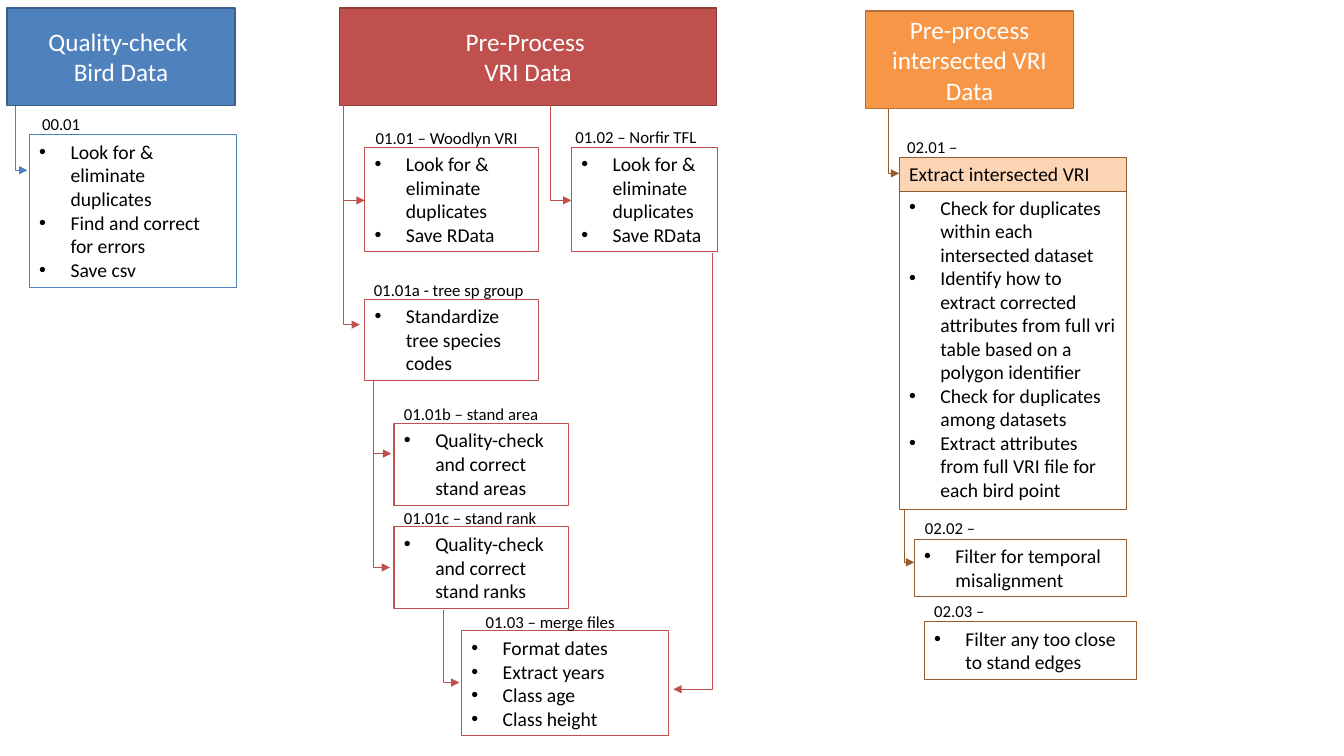
from dataclasses import dataclass

import pptx
import pptx.dml.color
import pptx.enum.shapes
import pptx.enum.text
import pptx.oxml
import pptx.oxml.ns
import pptx.util
from lxml import etree

Cm = pptx.util.Cm
Pt = pptx.util.Pt
qn = pptx.oxml.ns.qn

COLORS = {
    "blue": "4F81BD", "blue_edge": "3A5F8C",
    "red": "C0504D", "red_edge": "8E3B39",
    "orange": "F79646", "orange_edge": "B76F34",
    "brown": "935C2F", "peach": "FCD5B5",
    "white": "FFFFFF", "black": "000000",
}
FONT = "Calibri"
INDENT = Cm(0.79)
LABEL_HEIGHT = 0.76


@dataclass
class Header:
    text: str
    x: float
    y: float
    w: float
    color: str
    h: float = 2.46


@dataclass
class Step:
    color: str
    x: float
    y: float
    w: float
    h: float
    items: list[str]
    label: str
    label_x: float
    label_y: float
    label_w: float


@dataclass
class Arrow:
    color: str
    x1: float
    y1: float
    x2: float
    y2: float


HEADERS = [
    Header("Quality-check \vBird Data", 0.18, 0.2, 5.74, "blue"),
    Header("Pre-Process \vVRI Data", 8.56, 0.2, 9.5, "red"),
    Header("Pre-process intersected VRI Data", 21.82, 0.28, 5.23, "orange"),
]

CLEAN_VRI = ["Look for & eliminate duplicates", "Save RData"]

STEPS = [
    Step("blue", 0.74, 3.4, 5.21, 3.84,
         ["Look for & eliminate duplicates", "Find and correct for errors", "Save csv"],
         "00.01", 0.81, 2.74, 1.5),
    Step("red", 9.19, 3.71, 4.39, 2.64, CLEAN_VRI,
         "01.01 – Woodlyn VRI", 9.22, 3.1, 4.4),
    Step("red", 14.4, 3.71, 3.68, 2.64, CLEAN_VRI,
         "01.02 – Norfir TFL", 14.25, 3.07, 3.73),
    Step("red", 9.19, 7.54, 4.39, 2.06, ["Standardize tree species codes"],
         "01.01a - tree sp group", 9.17, 6.93, 4.34),
    Step("red", 9.93, 10.67, 4.39, 2.06, ["Quality-check and correct stand areas"],
         "01.01b – stand area", 9.93, 10.06, 3.94),
    Step("red", 9.93, 13.28, 4.39, 2.06, ["Quality-check and correct stand ranks"],
         "01.01c – stand rank", 9.93, 12.67, 3.89),
    Step("red", 11.63, 15.9, 5.23, 2.64,
         ["Format dates", "Extract years", "Class age", "Class height"],
         "01.03 – merge files", 11.99, 15.29, 3.81),
    Step("brown", 22.66, 4.8, 5.74, 8.03,
         ["Check for duplicates within each intersected dataset",
          "Identify how to extract corrected attributes from full vri table "
          "based on a polygon identifier",
          "Check for duplicates among datasets",
          "Extract attributes from full VRI file for each bird point"],
         "02.01 –", 22.61, 3.33, 1.9),
    Step("brown", 23.04, 13.59, 5.36, 1.45, ["Filter for temporal misalignment"],
         "02.02 –", 23.06, 12.93, 1.9),
    Step("brown", 23.29, 15.67, 5.36, 1.45, ["Filter any too close to stand edges"],
         "02.03 –", 23.29, 15.01, 1.9),
]

ARROWS = [
    Arrow("blue", 0.38, 2.67, 0.69, 4.29),
    Arrow("red", 8.66, 2.64, 9.19, 5.05),
    Arrow("red", 8.66, 3.51, 9.07, 8.18),
    Arrow("red", 13.87, 2.64, 14.4, 5.05),
    Arrow("red", 9.42, 9.6, 9.86, 11.43),
    Arrow("red", 9.42, 9.63, 9.83, 14.3),
    Arrow("red", 11.18, 15.37, 11.58, 17.2),
    Arrow("red", 17.96, 6.38, 16.97, 17.37),
    Arrow("brown", 22.38, 2.74, 22.66, 4.37),
    Arrow("brown", 22.78, 12.85, 23.04, 14.17),
]


def rgb(name: str) -> pptx.dml.color.RGBColor:
    return pptx.dml.color.RGBColor.from_string(COLORS[name])


def write(tf, lines: list[str], size: float, color: str, align, bullets: bool = False) -> None:
    tf.text = "\n".join(lines)
    for p in tf.paragraphs:
        p.alignment = align
        for r in p.runs:
            r.font.name = FONT
            r.font.size = Pt(size)
            r.font.color.rgb = rgb(color)
        if bullets:
            pPr = p._p.get_or_add_pPr()
            pPr.set("marL", str(INDENT))
            pPr.set("indent", str(-INDENT))
            etree.SubElement(pPr, qn("a:buFont"), typeface="Arial")
            etree.SubElement(pPr, qn("a:buChar"), char="•")


def add_box(slide, x: float, y: float, w: float, h: float,
            fill: str | None, line: str, weight: float):
    sp = slide.shapes.add_shape(
        pptx.enum.shapes.MSO_SHAPE.RECTANGLE, Cm(x), Cm(y), Cm(w), Cm(h))
    sp.shadow.inherit = False
    if fill:
        sp.fill.solid()
        sp.fill.fore_color.rgb = rgb(fill)
    else:
        sp.fill.background()
    sp.line.color.rgb = rgb(line)
    sp.line.width = Pt(weight)
    sp.text_frame.word_wrap = True
    sp.text_frame.vertical_anchor = pptx.enum.text.MSO_ANCHOR.TOP
    return sp


def add_header(slide, header: Header) -> None:
    sp = add_box(slide, header.x, header.y, header.w, header.h,
                 header.color, header.color + "_edge", 1)
    sp.text_frame.vertical_anchor = pptx.enum.text.MSO_ANCHOR.MIDDLE
    write(sp.text_frame, [header.text], 18, "white", pptx.enum.text.PP_ALIGN.CENTER)


def add_step(slide, step: Step) -> None:
    left = pptx.enum.text.PP_ALIGN.LEFT
    sp = add_box(slide, step.x, step.y, step.w, step.h, None, step.color, 0.75)
    write(sp.text_frame, step.items, 14, "black", left, bullets=True)
    label = slide.shapes.add_textbox(
        Cm(step.label_x), Cm(step.label_y), Cm(step.label_w), Cm(LABEL_HEIGHT))
    label.text_frame.word_wrap = False
    write(label.text_frame, [step.label], 12, "black", left)


def add_arrow(slide, arrow: Arrow) -> None:
    mid_x, mid_y = (arrow.x1 + arrow.x2) / 2, (arrow.y1 + arrow.y2) / 2
    rightward = arrow.x2 > arrow.x1
    half_run = (arrow.y2 - arrow.y1) / 2 * (-1 if rightward else 1)
    half_side = abs(arrow.x2 - arrow.x1) / 2
    cxn = slide.shapes.add_connector(
        pptx.enum.shapes.MSO_CONNECTOR.ELBOW,
        Cm(mid_x - half_run), Cm(mid_y - half_side),
        Cm(mid_x + half_run), Cm(mid_y + half_side))
    cxn.rotation = 270 if rightward else 90
    cxn.line.color.rgb = rgb(arrow.color)
    cxn.line.width = Pt(0.5)
    spPr = cxn._element.spPr
    avLst = spPr.find(qn("a:prstGeom")).get_or_add_avLst()
    etree.SubElement(avLst, qn("a:gd"), name="adj1", fmla="val 100000")
    etree.SubElement(spPr.find(qn("a:ln")), qn("a:tailEnd"), type="triangle")
    etree.SubElement(spPr, qn("a:effectLst"))


def main() -> None:
    prs = pptx.Presentation()
    prs.slide_width, prs.slide_height = Cm(33.87), Cm(19.05)
    slide = prs.slides.add_slide(prs.slide_layouts[6])
    for header in HEADERS:
        add_header(slide, header)
    for step in STEPS:
        add_step(slide, step)
    title = add_box(slide, 22.66, 3.96, 5.74, 0.86, "peach", "brown", 0.75)
    write(title.text_frame, ["Extract intersected VRI"], 14, "black",
          pptx.enum.text.PP_ALIGN.LEFT)
    for arrow in ARROWS:
        add_arrow(slide, arrow)
    prs.save("out.pptx")


if __name__ == "__main__":
    main()
